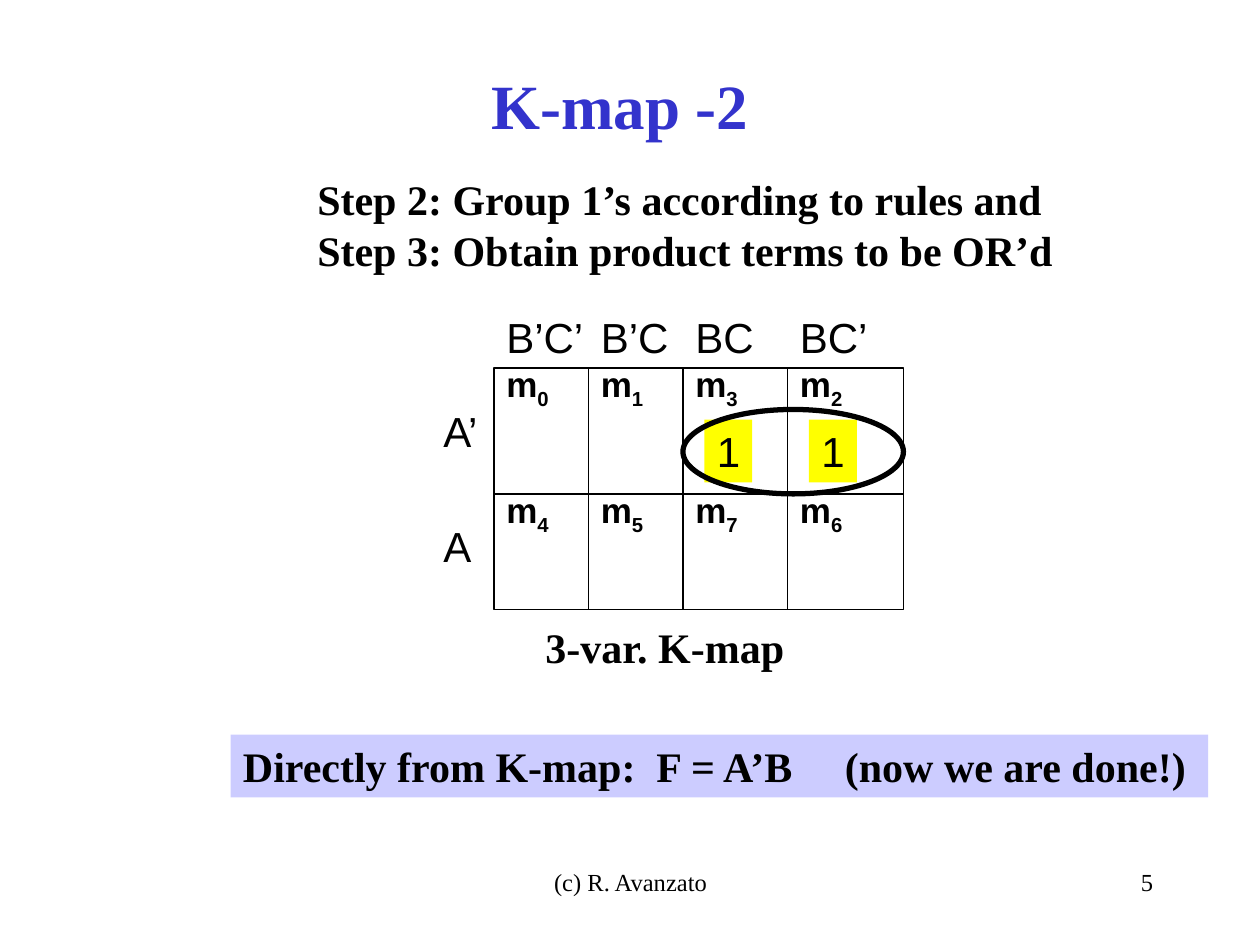
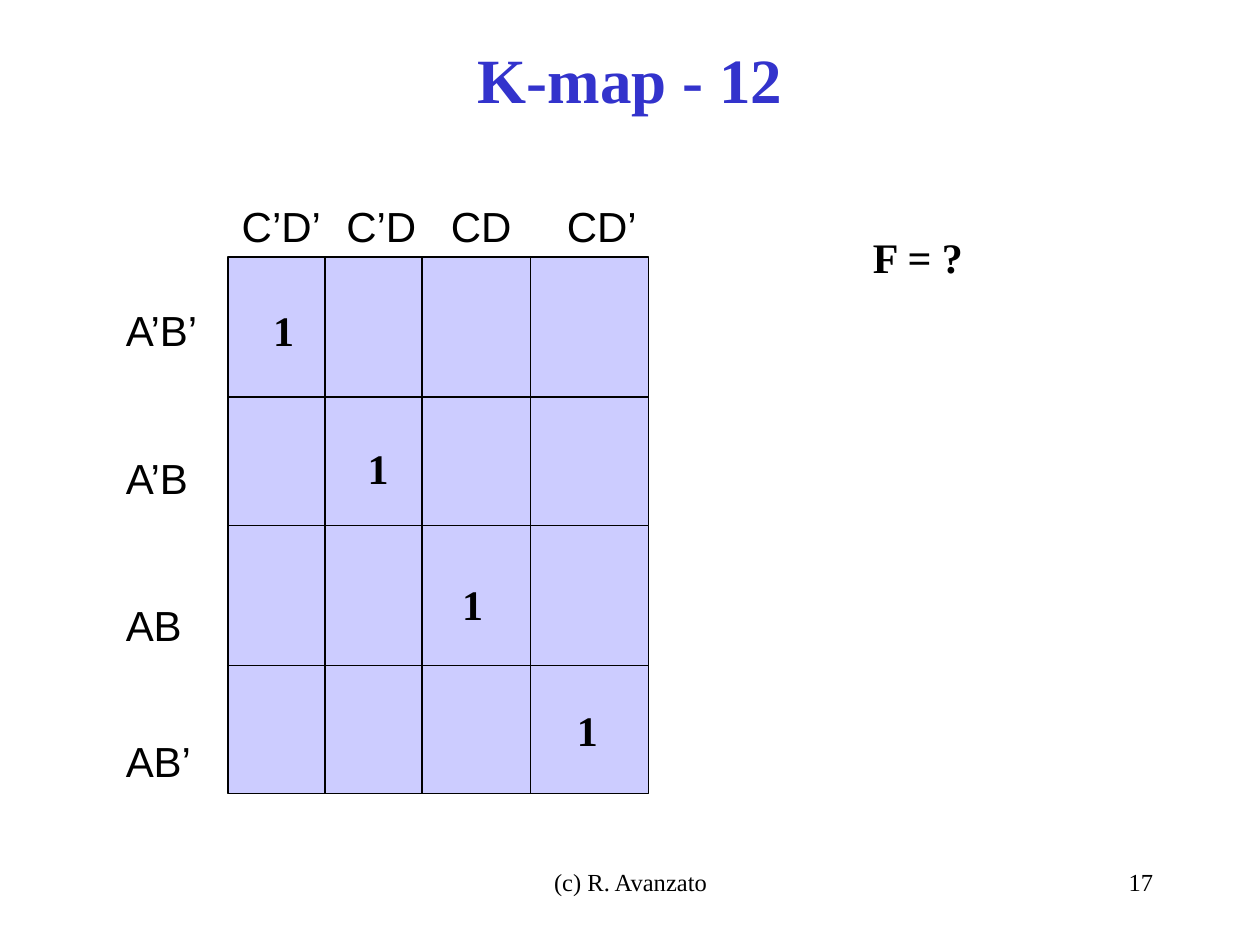
from pptx import Presentation
from pptx.dml.color import RGBColor
from pptx.enum.shapes import MSO_CONNECTOR as CONN, MSO_SHAPE as SHAPE
from pptx.enum.text import MSO_ANCHOR as ANCHOR, MSO_AUTO_SIZE as AUTO, PP_ALIGN as ALIGN
from pptx.oxml.ns import qn
from pptx.util import Pt
from lxml import etree

PX = 9144  # 100 px to the inch
SERIF, SANS = "Times New Roman", "Arial"
BLACK, BLUE, LILAC, YELLOW = "000000", "3333CC", "CCCCFF", "FFFF00"
LABEL_H = 50


def px(*lengths):
    return [n * PX for n in lengths]


def rgb(hex_color):
    return RGBColor.from_string(hex_color)


def set_font(p, size, name=SERIF, bold=False, color=BLACK):
    f = p.font
    f.size, f.name, f.bold = Pt(size), name, bold
    f.color.rgb = rgb(color)


def add_label(shapes, box, text, size=24, name=SERIF, bold=False, fill=None, sub=""):
    """Text on one line per paragraph, with an optional fill and subscript."""
    sp = shapes.add_textbox(*px(*box))
    if fill:
        sp.fill.solid()
        sp.fill.fore_color.rgb = rgb(fill)
    tf = sp.text_frame
    tf.text = text
    tf.word_wrap = False
    tf.auto_size = AUTO.SHAPE_TO_FIT_TEXT
    for p in tf.paragraphs:
        set_font(p, size, name, bold)
    if sub:
        r = tf.paragraphs[0].add_run()
        r.text = sub
        r.font._element.set("baseline", "-25000")


def add_outline(shapes, kind, box, width, fill=None):
    sp = shapes.add_shape(kind, *px(*box))
    sp.shadow.inherit = False
    sp.line.color.rgb = rgb(BLACK)
    sp.line.width = Pt(width)
    if fill:
        sp.fill.solid()
        sp.fill.fore_color.rgb = rgb(fill)
    else:
        sp.fill.background()


def add_line(shapes, x1, y1, x2, y2):
    ln = shapes.add_connector(CONN.STRAIGHT, *px(x1, y1, x2, y2))
    ln.line.color.rgb = rgb(BLACK)
    ln.line.width = Pt(0.75)
    etree.SubElement(ln._element.spPr, qn("a:effectLst"))


def add_grid(shapes, box, col_offsets, row_offset, fill=None):
    """Two rows of cells, split at the given offsets."""
    x, y, w, h = box
    add_outline(shapes, SHAPE.RECTANGLE, box, 0.75, fill)
    add_line(shapes, x, y + row_offset, x + w, y + row_offset)
    for dx in col_offsets:
        add_line(shapes, x + dx, y, x + dx, y + h)


def add_headings(shapes, x, y, columns, rows, row_gap):
    """Column headings as (text, dx, width), row headings as (text, dy, width)."""
    for text, dx, w in columns:
        add_label(shapes, (x + dx, y - LABEL_H, w, LABEL_H), text, name=SANS)
    for text, dy, w in rows:
        add_label(shapes, (x - row_gap, y + dy, w, LABEL_H), text, name=SANS)


def add_slide(prs, title, title_box, number):
    s = prs.slides.add_slide(prs.slide_layouts[5])
    sp = s.shapes.title
    sp.left, sp.top, sp.width, sp.height = px(*title_box)
    tf = sp.text_frame
    tf.text = title
    tf.vertical_anchor = ANCHOR.MIDDLE
    tf.paragraphs[0].alignment = ALIGN.CENTER
    set_font(tf.paragraphs[0], 36, bold=True, color=BLUE)
    # Footer and slide number
    for x, w, text, align in ((342, 317, "(c) R. Avanzato", ALIGN.CENTER),
                              (717, 208, number, ALIGN.RIGHT)):
        tf = s.shapes.add_textbox(*px(x, 683, w, 50)).text_frame
        tf.word_wrap = True
        tf.text = text
        tf.paragraphs[0].alignment = align
        set_font(tf.paragraphs[0], 14)
    return s


def three_var_map(shapes, box):
    x, y, w, h = box
    cols, row = (0, 75, 150, 233), 100
    add_grid(shapes, box, cols[1:], row)
    # Minterm names in Gray-code order
    for i, terms in enumerate(("0132", "4576")):
        for dx, term in zip(cols, terms):
            add_label(shapes, (x + dx, y - 9 + i * row, 54, 48), "m",
                      20, SANS, True, sub=term)
    columns = zip(("B’C’", "B’C", "BC", "BC’"), cols, (82, 74, 67, 74))
    add_headings(shapes, x, y, columns, [("A’", 25, 50), ("A", 116, 43)], 50)
    # Ones and the loop that groups them
    for dx in cols[2:]:
        add_label(shapes, (x + dx + 17, y + 41, 38, LABEL_H), "1", name=SANS, fill=YELLOW)
    add_label(shapes, (x + 31, y + h + 4, 212, LABEL_H), "3-var. K-map", bold=True)
    add_outline(shapes, SHAPE.OVAL, (x + cols[2], y + 33, w - cols[2], 67), 3)


def four_var_map(shapes, box):
    x, y, w, h = box
    half = h // 2
    for top in (y, y + half):
        add_grid(shapes, (x, top, w, half), (77, 154, 240), 111, LILAC)
    columns = zip(("C’D’", "C’D", "CD", "CD’"), (1, 84, 167, 259), (84, 76, 69, 76))
    rows = zip(("A’B’", "A’B", "AB", "AB’"), (33, 150, 267, 375), (80, 73, 66, 73))
    add_headings(shapes, x, y, columns, rows, 91)
    # Ones on the diagonal
    for dx, dy in ((26, 33), (101, 142), (176, 250), (267, 350)):
        add_label(shapes, (x + dx, y + dy, 36, LABEL_H), "1", bold=True)


def grouping_slide(prs):
    s = add_slide(prs, "K-map -2", (67, 33, 850, 100), "5")
    add_label(s.shapes, (242, 133, 604, 90),
              "Step 2: Group 1’s according to rules and\n"
              "Step 3: Obtain product terms to be OR’d", bold=True)
    three_var_map(s.shapes, (392, 292, 325, 192))
    add_label(s.shapes, (183, 583, 776, LABEL_H),
              "Directly from K-map:  F = A’B     (now we are done!)", bold=True, fill=LILAC)


def exercise_slide(prs):
    s = add_slide(prs, "K-map - 12", (75, 0, 850, 125), "17")
    four_var_map(s.shapes.add_group_shape().shapes, (181, 204, 334, 426))
    add_label(s.shapes, (683, 179, 92, LABEL_H), "F = ?", bold=True)


def main():
    prs = Presentation()
    prs.slide_width, prs.slide_height = px(1000, 750)
    grouping_slide(prs)
    exercise_slide(prs)
    prs.save("out.pptx")


if __name__ == "__main__":
    main()
